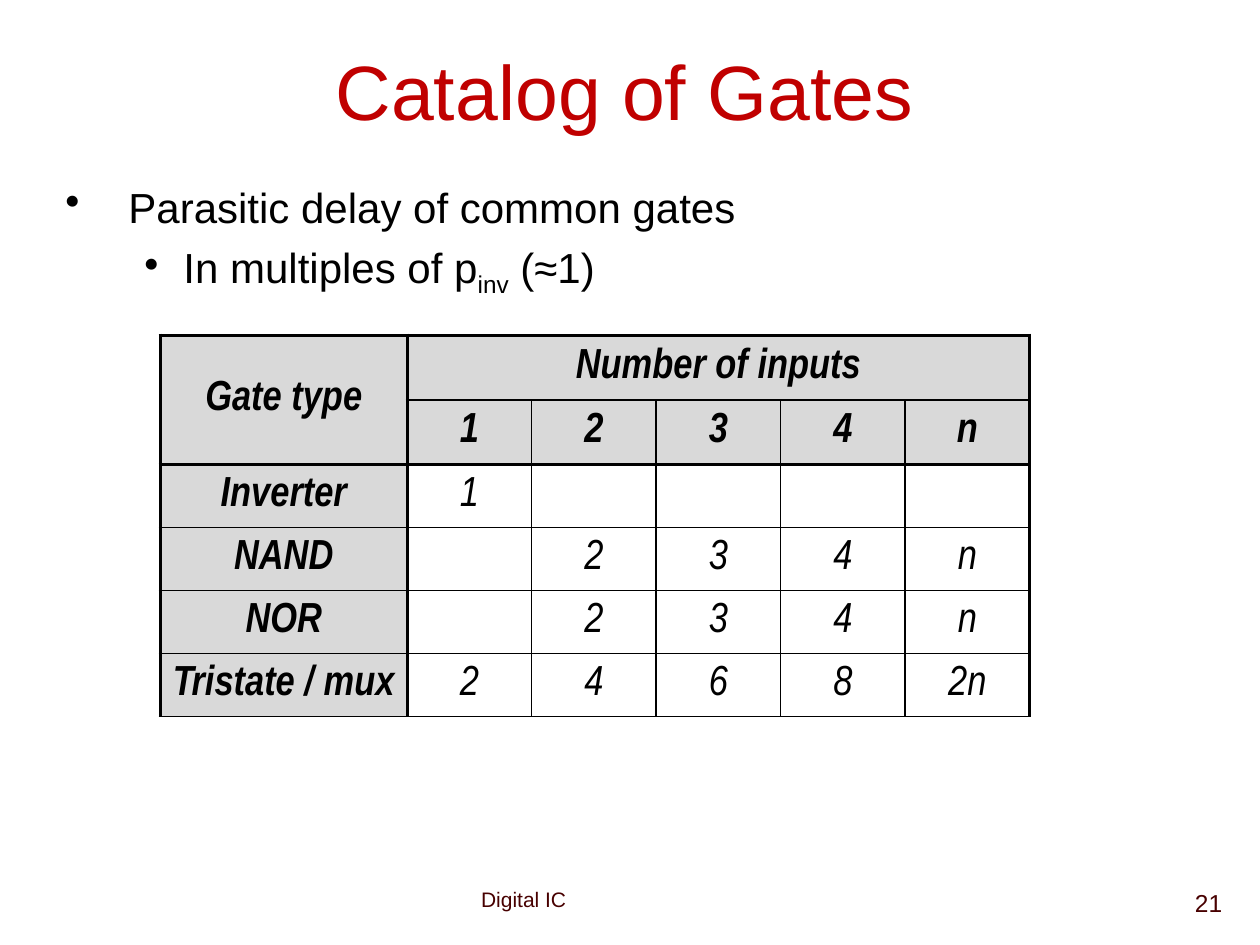
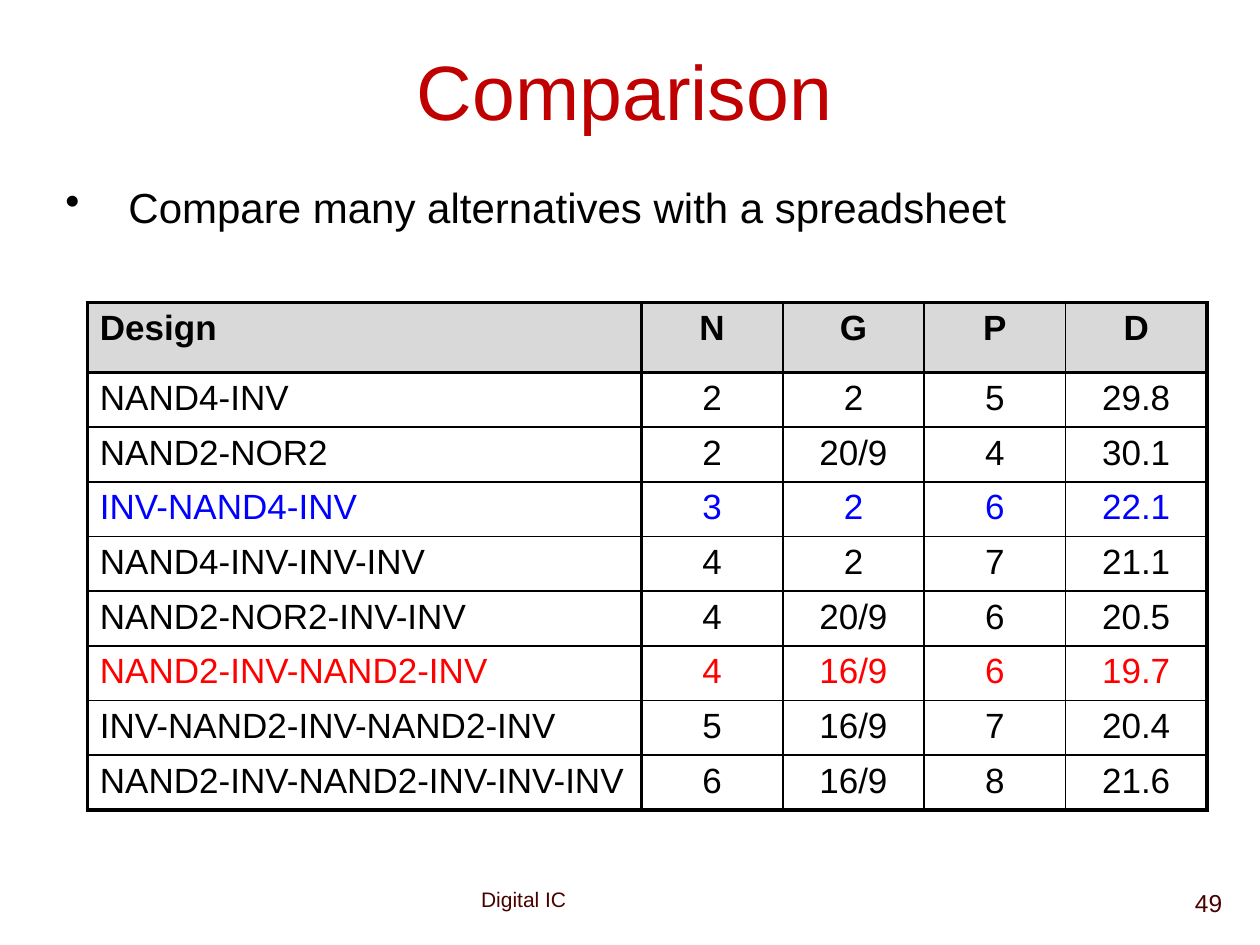
from dataclasses import dataclass, field
from typing import Any

from pptx import Presentation
from pptx.dml.color import RGBColor
from pptx.enum.text import MSO_ANCHOR as Anchor, PP_ALIGN as Align
from pptx.oxml.ns import qn
from pptx.oxml.xmlchemy import OxmlElement
from pptx.util import Cm, Pt

BLACK = RGBColor(0x00, 0x00, 0x00)
CRIMSON = RGBColor(0xC0, 0x00, 0x00)
MAROON = RGBColor(0x48, 0x00, 0x00)
GRAY = RGBColor(0xD9, 0xD9, 0xD9)
BLUE = RGBColor(0x00, 0x00, 0xFF)
RED = RGBColor(0xFF, 0x00, 0x00)

THIN, THICK = Pt(1), Pt(2.25)
PLAIN_TABLE = "{2D5ABB26-0587-4C30-8999-92F81FD0307C}"
BULLET_INDENTS = [(1.27, -1.27), (2.38, -0.79)]  # left margin, first line, in cm


@dataclass(frozen=True)
class TextStyle:
    size: float
    color: RGBColor = BLACK
    name: str = "Arial"
    italic: bool = False


@dataclass(frozen=True)
class Box:
    left: float
    top: float
    width: float
    height: float


@dataclass(frozen=True)
class Bullet:
    level: int
    runs: list[tuple[str, int]]  # text, baseline shift in percent


@dataclass(frozen=True)
class Grid:
    left: float
    top: float
    widths: list[float]
    heights: list[float]
    rows: list[list[str]]
    style: TextStyle
    first_align: Align
    anchor: Anchor
    header_rows: int = 1
    header_cols: int = 0
    closed: bool = True  # thick line under the last row
    merges: list[tuple[int, int, int, int]] = field(default_factory=list)
    accents: dict[int, RGBColor] = field(default_factory=dict)


@dataclass(frozen=True)
class Page:
    title: str
    number: int
    bullets: list[Bullet]
    grid: Grid


TITLE_BOX = Box(1.09, 0.86, 23.01, 1.91)
BODY_BOX = Box(1.07, 3.53, 23.01, 13.39)
FOOTER_BOX = Box(9.45, 17.75, 6.15, 0.76)
NUMBER_BOX = Box(19.61, 17.78, 5.28, 1.27)

TITLE = TextStyle(44, CRIMSON)
BODY = TextStyle(24)
FOOTER = TextStyle(12, MAROON)
NUMBER = TextStyle(14, MAROON)

GATES = Grid(
    left=3.23, top=6.76,
    widths=[4.98] + [2.51] * 5,
    heights=[1.3] * 2 + [1.23] * 4,
    rows=[
        ["Gate type", "Number of inputs", "", "", "", ""],
        ["", "1", "2", "3", "4", "n"],
        ["Inverter", "1", "", "", "", ""],
        ["NAND", "", "2", "3", "4", "n"],
        ["NOR", "", "2", "3", "4", "n"],
        ["Tristate / mux", "2", "4", "6", "8", "2n"],
    ],
    style=TextStyle(24, name="Arial Narrow", italic=True),
    first_align=Align.CENTER, anchor=Anchor.MIDDLE,
    header_rows=2, header_cols=1, closed=False,
    merges=[(0, 0, 1, 0), (0, 1, 0, 5)],
)

DESIGNS = Grid(
    left=1.76, top=6.1,
    widths=[11.17] + [2.85] * 4,
    heights=[1.41] + [1.04] * 8,
    rows=[
        ["Design", "N", "G", "P", "D"],
        ["NAND4-INV", "2", "2", "5", "29.8"],
        ["NAND2-NOR2", "2", "20/9", "4", "30.1"],
        ["INV-NAND4-INV", "3", "2", "6", "22.1"],
        ["NAND4-INV-INV-INV", "4", "2", "7", "21.1"],
        ["NAND2-NOR2-INV-INV", "4", "20/9", "6", "20.5"],
        ["NAND2-INV-NAND2-INV", "4", "16/9", "6", "19.7"],
        ["INV-NAND2-INV-NAND2-INV", "5", "16/9", "7", "20.4"],
        ["NAND2-INV-NAND2-INV-INV-INV", "6", "16/9", "8", "21.6"],
    ],
    style=TextStyle(20),
    first_align=Align.LEFT, anchor=Anchor.TOP,
    accents={3: BLUE, 6: RED},
)

PAGES = [
    Page("Catalog of Gates", 21, [
        Bullet(0, [("Parasitic delay of common gates", 0)]),
        Bullet(1, [("In multiples of p", 0), ("inv", -25), (" (≈1)", 0)]),
    ], GATES),
    Page("Comparison", 49, [
        Bullet(0, [("Compare many alternatives with a spreadsheet", 0)]),
    ], DESIGNS),
]


def assign(obj: Any, **values: Any) -> None:
    for name, value in values.items():
        setattr(obj, name, value)


def add_run(p: Any, text: str, style: TextStyle, bold: bool = False,
            color: RGBColor | None = None) -> Any:
    r = p.add_run()
    r.text = text
    assign(r.font, name=style.name, size=Pt(style.size), bold=bold, italic=style.italic)
    r.font.color.rgb = color or style.color
    return r


def add_frame(slide: Any, box: Box, anchor: Anchor = Anchor.TOP) -> Any:
    sp = slide.shapes.add_textbox(Cm(box.left), Cm(box.top), Cm(box.width), Cm(box.height))
    assign(sp.text_frame, word_wrap=True, vertical_anchor=anchor)
    return sp.text_frame


def add_line(slide: Any, box: Box, text: str, style: TextStyle,
             align: Align = Align.LEFT, anchor: Anchor = Anchor.TOP) -> None:
    p = add_frame(slide, box, anchor).paragraphs[0]
    p.alignment = align
    add_run(p, text, style)


def add_bullets(slide: Any, bullets: list[Bullet]) -> None:
    tf = add_frame(slide, BODY_BOX)
    for i, bullet in enumerate(bullets):
        p = tf.add_paragraph() if i else tf.paragraphs[0]
        assign(p, level=bullet.level, space_before=Pt(5.5))
        margin, indent = BULLET_INDENTS[bullet.level]
        pPr = p._p.get_or_add_pPr()
        pPr.set("marL", str(Cm(margin)))
        pPr.set("indent", str(Cm(indent)))
        mark = OxmlElement("a:buChar")
        mark.set("char", "•")
        pPr.append(mark)
        for text, shift in bullet.runs:
            r = add_run(p, text, BODY)
            if shift:
                r._r.get_or_add_rPr().set("baseline", str(shift * 1000))


def set_border(cell: Any, side: str, width: int) -> None:
    ln = OxmlElement(f"a:ln{side}")
    ln.set("w", str(width))
    fill = OxmlElement("a:solidFill")
    color = OxmlElement("a:srgbClr")
    color.set("val", str(BLACK))
    fill.append(color)
    ln.append(fill)
    cell._tc.get_or_add_tcPr().append(ln)


def format_cell(cell: Any, grid: Grid, row: int, col: int) -> None:
    """Rule thick lines around the table and its headings, then fill and write the cell."""
    thick_cols = {0, 1, len(grid.widths)}
    thick_rows = {0, grid.header_rows} | ({len(grid.rows)} if grid.closed else set())
    for side, edge, thick in (
        ("L", col, thick_cols), ("R", col + cell.span_width, thick_cols),
        ("T", row, thick_rows), ("B", row + cell.span_height, thick_rows),
    ):
        set_border(cell, side, THICK if edge in thick else THIN)

    heading = row < grid.header_rows or col < grid.header_cols
    if heading:
        cell.fill.solid()
        cell.fill.fore_color.rgb = GRAY
    else:
        cell.fill.background()
    cell.vertical_anchor = grid.anchor
    p = cell.text_frame.paragraphs[0]
    p.alignment = Align.CENTER if col else grid.first_align
    if grid.rows[row][col]:
        add_run(p, grid.rows[row][col], grid.style, heading, grid.accents.get(row))


def add_grid(slide: Any, grid: Grid) -> None:
    frame = slide.shapes.add_table(
        len(grid.rows), len(grid.widths), Cm(grid.left), Cm(grid.top),
        Cm(sum(grid.widths)), Cm(sum(grid.heights)))
    table = frame.table
    assign(table, first_row=False, horz_banding=False)
    table._tbl.tblPr.find(qn("a:tableStyleId")).text = PLAIN_TABLE
    for column, width in zip(table.columns, grid.widths):
        column.width = Cm(width)
    for row, height in zip(table.rows, grid.heights):
        row.height = Cm(height)
    for top, left, bottom, right in grid.merges:
        table.cell(top, left).merge(table.cell(bottom, right))
    for r in range(len(grid.rows)):
        for c in range(len(grid.widths)):
            cell = table.cell(r, c)
            if not cell.is_spanned:
                format_cell(cell, grid, r, c)


def add_page(prs: Any, page: Page) -> None:
    slide = prs.slides.add_slide(prs.slide_layouts[6])
    add_line(slide, FOOTER_BOX, "Digital IC", FOOTER)
    add_line(slide, NUMBER_BOX, str(page.number), NUMBER, Align.RIGHT)
    add_line(slide, TITLE_BOX, page.title, TITLE, Align.CENTER, Anchor.MIDDLE)
    add_bullets(slide, page.bullets)
    add_grid(slide, page.grid)


def main() -> None:
    prs = Presentation()
    assign(prs, slide_width=Cm(25.4), slide_height=Cm(19.05))
    for page in PAGES:
        add_page(prs, page)
    prs.save("out.pptx")


if __name__ == "__main__":
    main()
